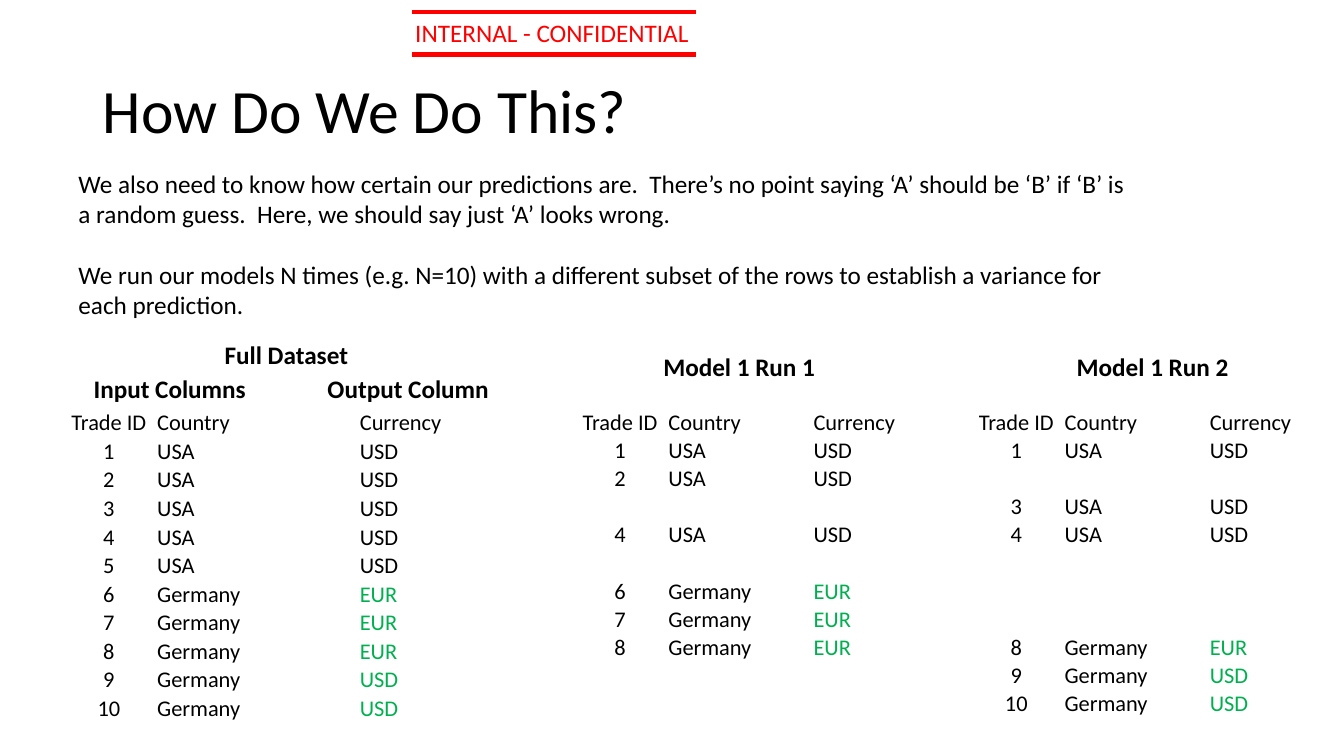
from pptx import Presentation
from pptx.dml.color import RGBColor
from pptx.enum.shapes import MSO_CONNECTOR
from pptx.enum.text import MSO_ANCHOR, MSO_AUTO_SIZE, PP_ALIGN
from pptx.oxml.ns import qn
from pptx.util import Inches, Pt
from lxml import etree

STRAIGHT = MSO_CONNECTOR.STRAIGHT
LEFT, CENTER = PP_ALIGN.LEFT, PP_ALIGN.CENTER
MIDDLE, BOTTOM = MSO_ANCHOR.MIDDLE, MSO_ANCHOR.BOTTOM
GROW = MSO_AUTO_SIZE.SHAPE_TO_FIT_TEXT
FONT = "Calibri"
BLACK, RED, GREEN = "000000", "FF0000", "00B050"

HEADS = ["Trade ID", "Country", "", "Currency"]
TRADES = [(n, "USA" if n < 6 else "Germany", "EUR" if n in (6, 7, 8) else "USD")
          for n in range(1, 11)]
NOTES = [
    "We also need to know how certain our predictions are.  There’s no point saying "
    "‘A’ should be ‘B’ if ‘B’ is a random guess.  Here, we should say just ‘A’ looks wrong.",
    "We run our models N times (e.g. N=10) with a different subset of the rows to "
    "establish a variance for each prediction.",
]
FULL_COLS = [0.94, 1.03, 0.98, 0.98]
RUN_COLS = [0.94, 1.03, 0.41, 1.56]


def paint(color):
    """Return the colour for a hex string."""
    return RGBColor.from_string(color)


def style(para, size, color=BLACK, bold=False):
    """Format every run of a paragraph."""
    for run in para.runs:
        run.font.name, run.font.size, run.font.bold = FONT, Pt(size), bold
        run.font.color.rgb = paint(color)


def add_text(slide, box, lines, color=BLACK, bold=False, gap=0):
    """Add an 18 point text box with one paragraph per line."""
    frame = slide.shapes.add_textbox(*map(Inches, box)).text_frame
    frame.word_wrap, frame.auto_size = True, GROW
    frame.text = "\n".join(lines)
    for para in frame.paragraphs:
        style(para, 18, color, bold)
    for para in frame.paragraphs[:-1]:
        para.space_after = Pt(gap)


def add_banner(slide, left, top):
    """Add the marking between two red rules."""
    add_text(slide, (left, top, 4.44, 0.4), ["INTERNAL - CONFIDENTIAL"], RED)
    for y in (top, top + 0.42):
        rule = slide.shapes.add_connector(
            STRAIGHT, Inches(left + 0.07), Inches(y), Inches(left + 2.88), Inches(y))
        rule.line.color.rgb, rule.line.width = paint(RED), Pt(3)
        etree.SubElement(rule._element.spPr, qn("a:effectLst"))


def add_title(slide, box, text):
    """Place and format the title."""
    title = slide.shapes.title
    title.left, title.top, title.width, title.height = map(Inches, box)
    frame = title.text_frame
    frame.text, frame.vertical_anchor = text, MIDDLE
    para = frame.paragraphs[0]
    para.alignment, para.line_spacing = LEFT, 0.9
    style(para, 44)


def fill_cell(cell, text, align, color):
    """Fill one plain table cell."""
    cell.fill.background()
    cell.vertical_anchor = BOTTOM
    cell.margin_left = cell.margin_right = cell.margin_top = Inches(0.01)
    cell.margin_bottom = 0
    para = cell.text_frame.paragraphs[0]
    if text:
        para.text = text
    else:
        para._p.get_or_add_endParaRPr().set("sz", "1600")
    para.alignment = align
    style(para, 16, color)


def add_trades(slide, box, cols, kept):
    """Add a trade table that leaves blank the rows not kept."""
    rows = [HEADS] + [[str(n), land, "", cash] if n in kept else [""] * 4
                      for n, land, cash in TRADES]
    table = slide.shapes.add_table(len(rows), len(cols), *map(Inches, box)).table
    table.first_row = table.horz_banding = False
    for col, width in zip(table.columns, cols):
        col.width = Inches(width)
    for r, row in enumerate(rows):
        table.rows[r].height = Inches(box[3] / len(rows))
        for c, text in enumerate(row):
            fill_cell(table.cell(r, c), text, LEFT if c else CENTER,
                      GREEN if c == 3 and r > 5 else BLACK)


def add_full(slide, left, top):
    """Add the full dataset with its headings."""
    add_trades(slide, (left, top, 3.93, 3.12), FULL_COLS, range(1, 11))
    for x, y, text in ((1.52, 0.73, "Full Dataset"), (0.22, 0.4, "Input Columns"),
                       (2.54, 0.4, "Output Column")):
        add_text(slide, (left + x, top - y, 2, 0.4), [text], bold=True)


def add_run(slide, left, top, head, shift, kept):
    """Add one model run with its heading."""
    add_trades(slide, (left, top, 3.94, 3.07), RUN_COLS, kept)
    add_text(slide, (left + shift, top - 0.61, 2.01, 0.4), [head], bold=True)


def main():
    """Build and save the slide."""
    deck = Presentation()
    deck.slide_width, deck.slide_height = Inches(13.33), Inches(7.5)
    slide = deck.slides.add_slide(deck.slide_layouts[5])
    add_banner(slide, 4.02, 0.12)
    add_title(slide, (0.92, 0.4, 11.5, 1.45), "How Do We Do This?")
    add_text(slide, (0.68, 1.62, 10.73, 1.62), NOTES, gap=22)
    add_full(slide, 0.61, 4.05)
    add_run(slide, 5.68, 4.05, "Model 1 Run 1", 0.8, (1, 2, 4, 6, 7, 8))
    add_run(slide, 9.61, 4.05, "Model 1 Run 2", 0.97, (1, 3, 4, 8, 9, 10))
    deck.save("out.pptx")


if __name__ == "__main__":
    main()
